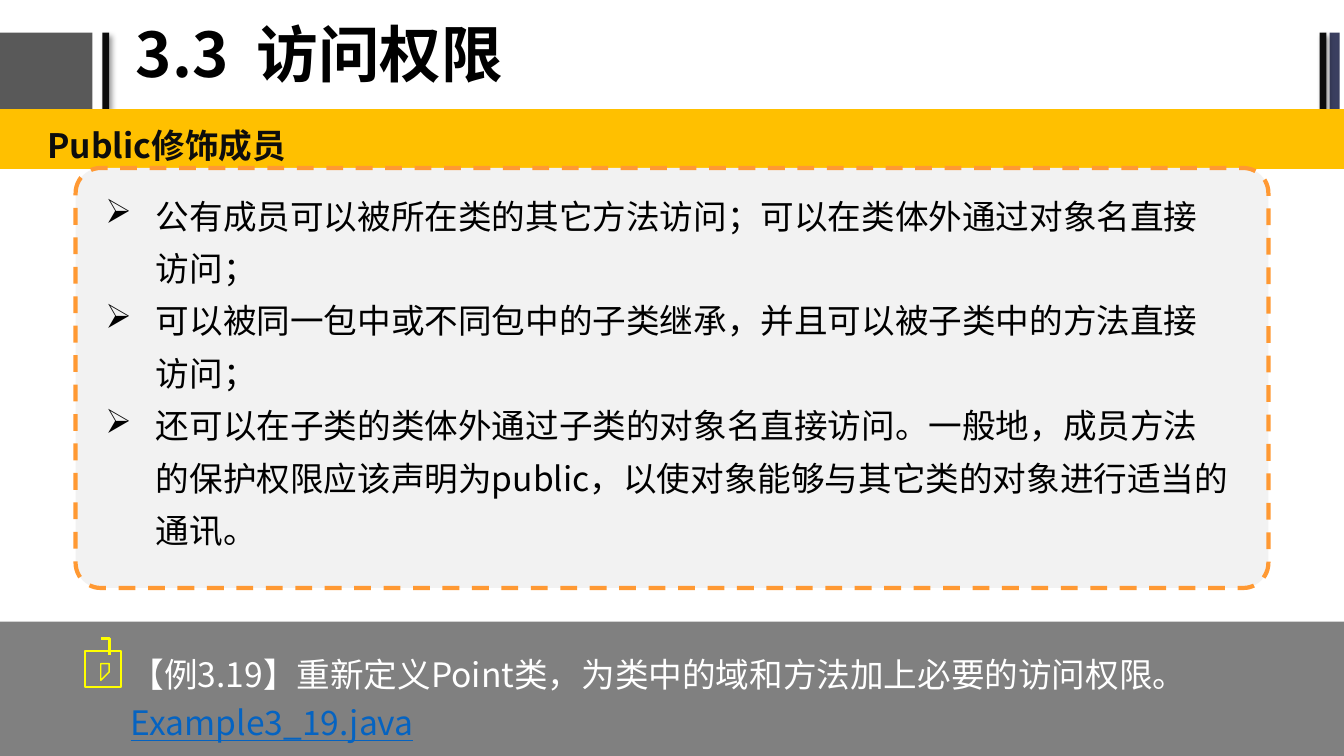
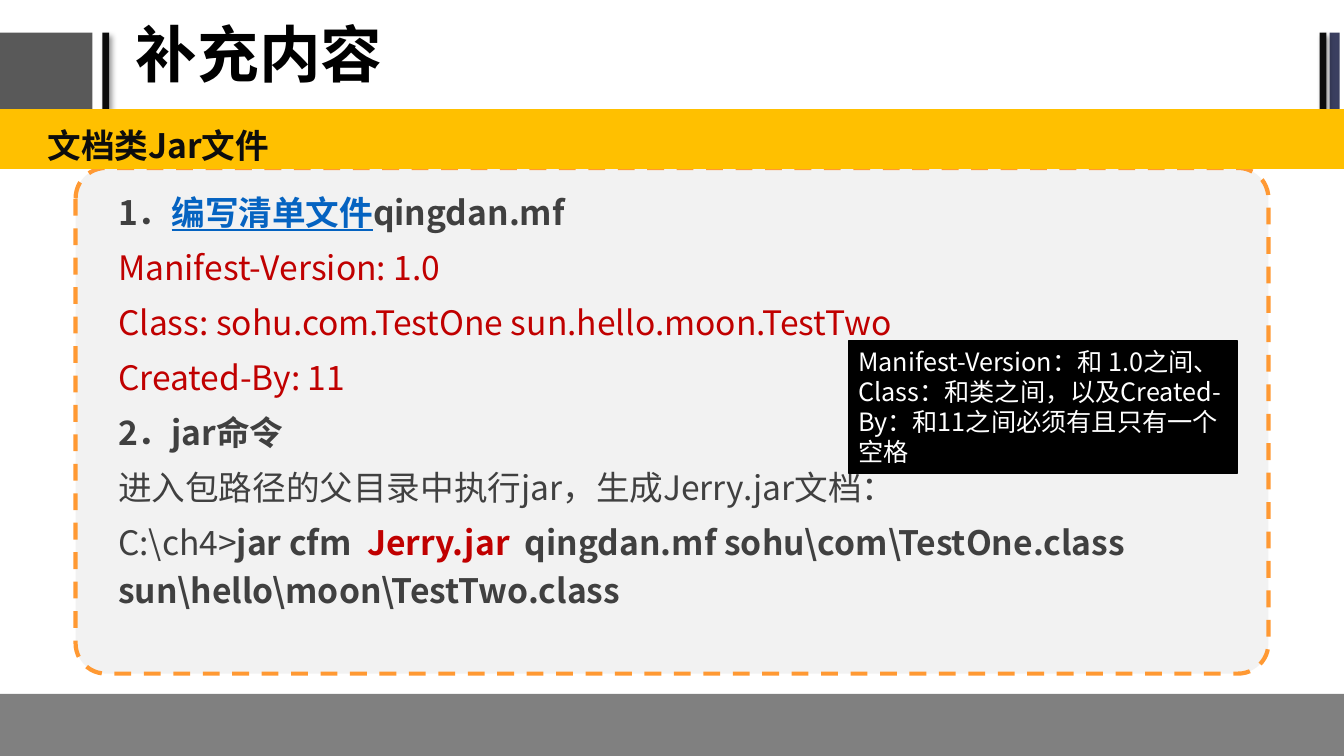
import math

from lxml import etree
from pptx import Presentation
from pptx import util as u
from pptx.dml.color import RGBColor
from pptx.enum import dml, shapes, text
from pptx.oxml import ns

COLORS = {
    "white": "FFFFFF", "black": "000000", "ink": "0D0D0D", "body": "404040",
    "slate": "595959", "navy": "3B3F60", "footer": "808080", "amber": "FFC000",
    "panel": "F2F2F2", "orange": "FF9933", "yellow": "FFFF00",
    "red": "C00000", "link": "0563C1",
}
FONT = "Noto Sans CJK SC"
COLS, ROWS = 160, 90
CELL = u.Inches(7.5) / ROWS
INSETS = {"margin_left": 0.13, "margin_right": 0.13, "margin_top": 0.07, "margin_bottom": 0.07}
RECT = shapes.MSO_SHAPE.RECTANGLE
BULLET_INDENT = u.Inches(0.5)

PLAIN = {"color": "body"}
BOLD = {"color": "body", "bold": True}
RED = {"color": "red"}
LABEL = {"color": "ink", "bold": True}
LINK = {"color": "link", "underline": True}


def block(slide, box, fill, line=None, width=1, kind=RECT):
    """Add a preset shape placed in grid columns and rows."""
    shape = slide.shapes.add_shape(kind, *(round(n * CELL) for n in box))
    shape.shadow.inherit = False
    if fill:
        shape.fill.solid()
        shape.fill.fore_color.rgb = RGBColor.from_string(COLORS[fill])
    else:
        shape.fill.background()
    if line:
        shape.line.color.rgb = RGBColor.from_string(COLORS[line])
        shape.line.width = u.Pt(width)
    else:
        shape.line.fill.background()
    return shape


def write(frame, paragraphs, size=24, spacing=1.2, before=4.8, insets=INSETS, bullet=None):
    """Fill a frame with paragraphs, each a list of (words, format) runs."""
    frame.word_wrap = True
    for side, inches in insets.items():
        setattr(frame, side, u.Inches(inches))
    for index, runs in enumerate(paragraphs):
        paragraph = frame.add_paragraph() if index else frame.paragraphs[0]
        paragraph.alignment = text.PP_ALIGN.LEFT
        if bullet:
            properties = paragraph._p.get_or_add_pPr()
            properties.set("marL", str(BULLET_INDENT))
            properties.set("indent", str(-BULLET_INDENT))
            etree.SubElement(properties, ns.qn("a:buChar"), char=bullet)
        paragraph.line_spacing = spacing
        if index:
            paragraph.space_before = u.Pt(before)
        for words, style in runs:
            run = paragraph.add_run()
            run.text = words
            values = {"name": FONT, "size": u.Pt(size), **style}
            run.font.color.rgb = RGBColor.from_string(COLORS[values.pop("color")])
            for name, value in values.items():
                setattr(run.font, name, value)
            latin = run._r.rPr.find(ns.qn("a:latin"))
            latin.addnext(latin.makeelement(ns.qn("a:ea"), {"typeface": FONT}))


# Content of the slides
pages = [
    {
        "title": "3.3  访问权限",
        "topic": "Public修饰成员",
        "order": ("band", "panel"),
        "panel_rows": 50,
        "footer_top": 74,
        "points_box": (11, 21, 137, 49),
        "points": [[(point, {"color": "black"})] for point in (
            "公有成员可以被所在类的其它方法访问；可以在类体外通过对象名直接访问；",
            "可以被同一包中或不同包中的子类继承，并且可以被子类中的方法直接访问；",
            "还可以在子类的类体外通过子类的对象名直接访问。一般地，成员方法的保护权限"
            "应该声明为public，以使对象能够与其它类的对象进行适当的通讯。",
        )],
        "layout": {"spacing": 1.3, "before": 0, "bullet": "➢"},
    },
    {
        "title": "补充内容",
        "topic": "文档类Jar文件",
        "order": ("panel", "band"),
        "panel_rows": 60.2,
        "footer_top": 82.6,
        "points_box": (12.5, 21, 132, 49),
        "points": [
            [("1．", BOLD), ("编写清单文件", {**LINK, "bold": True}), ("qingdan.mf", BOLD)],
            [("Manifest-Version: 1.0", RED)],
            [("Class: sohu.com.TestOne sun.hello.moon.TestTwo", RED)],
            [("Created-By: 11", RED)],
            [("2．jar命令", BOLD)],
            [("进入包路径的父目录中执行jar，生成Jerry.jar文档：", PLAIN)],
            [("C:\\ch4>", PLAIN), ("jar cfm  ", BOLD), ("Jerry.jar  ", {**RED, "bold": True}),
             ("qingdan.mf sohu\\com\\TestOne.class  sun\\hello\\moon\\TestTwo.class", BOLD)],
        ],
        "layout": {},
    },
]
# Header bars: left column, width, colour, shadow
header_bars = [
    (0, 11, "slate", False),
    (12.2, 0.8, "ink", True),
    (158.3, 1.2, "navy", False),
    (157.1, 0.8, "ink", True),
]

deck = Presentation()
deck.slide_width, deck.slide_height = round(COLS * CELL), round(ROWS * CELL)
slides = []

for page in pages:
    slide = deck.slides.add_slide(deck.slide_layouts[6])
    slides.append(slide)

    # Header bars and title
    for left, width, color, shaded in header_bars:
        bar = block(slide, (left, 3.9, width, 9.1), color)
        if shaded:
            effects = bar._element.spPr.find(ns.qn("a:effectLst"))
            shade = etree.SubElement(effects, ns.qn("a:outerShdw"), blurRad=str(u.Pt(4)),
                                     dist=str(u.Pt(3)), dir=str(45 * 60000), algn="tl")
            tint = etree.SubElement(shade, ns.qn("a:srgbClr"), val=COLORS["black"])
            etree.SubElement(tint, ns.qn("a:alpha"), val="40000")
    title = slide.shapes.add_textbox(*(round(n * CELL) for n in (15, 0.2, 101.6, 13.2)))
    title.text_frame.vertical_anchor = text.MSO_ANCHOR.MIDDLE
    write(title.text_frame, [[(page["title"], {"color": "black", "bold": True})]],
          size=44, spacing=0.9, insets={})

    # Footer, then topic band and dashed panel in stacking order
    block(slide, (0, page["footer_top"], COLS, ROWS - page["footer_top"]), "footer")
    for part in page["order"]:
        if part == "band":
            block(slide, (0, 13, COLS, 7.1), "amber")
            topic = slide.shapes.add_textbox(*(round(n * CELL) for n in (4.1, 13.1, 155.9, 7)))
            write(topic.text_frame, [[(page["topic"], LABEL)]])
        else:
            panel = block(slide, (9, 20, 142, page["panel_rows"]), "panel", "orange", 3,
                          shapes.MSO_SHAPE.ROUNDED_RECTANGLE)
            panel.adjustments[0] = 0.06
            panel.line.dash_style = dml.MSO_LINE.DASH

    # Points on the panel
    points = slide.shapes.add_textbox(*(round(n * CELL) for n in page["points_box"]))
    write(points.text_frame, page["points"], **page["layout"])

access, archive = slides

# Padlock with a bulb in the footer of the access slide
block(access, (10.1, 77.5, 4.3, 4.3), None, "yellow", 1.75)
quarter = [math.radians(a) for a in range(-90, 1, 15)]
outer = [(11.75, 76.1)] + [(12.7 + 0.7 * math.cos(a), 76.8 + 0.7 * math.sin(a)) for a in quarter]
inner = [(12, 76.5)] + [(12.6 + 0.4 * math.cos(a), 76.9 + 0.4 * math.sin(a)) for a in quarter]
bulb = [(12.5 + 0.8 * math.cos(a), 79.4 + 0.8 * math.sin(a))
        for a in (math.radians(d) for d in range(120, 421, 15))]
bulb += [(12.9, 80.4), (12.5, 80.7), (12.1, 80.4)]
strokes = [
    (outer + [(13.4, 77.5)], False, 2),
    (inner + [(13, 77.5)], False, 1),
    (bulb, True, 1),
]
for outline, closed, width in strokes:
    builder = access.shapes.build_freeform(*outline[0], scale=CELL)
    builder.add_line_segments(outline[1:], close=closed)
    stroke = builder.convert_to_shape()
    stroke.shadow.inherit = False
    stroke.fill.background()
    stroke.line.color.rgb = RGBColor.from_string(COLORS["yellow"])
    stroke.line.width = u.Pt(width)

# Example in the footer
example = access.shapes.add_textbox(*(round(n * CELL) for n in (14, 76, 128, 12.2)))
write(example.text_frame, [[
    ("【例3.19】重新定义Point类，为类中的域和方法加上必要的访问权限。", {"color": "white"}),
    ("Example3_19.java", LINK),
]])

# Note on the manifest format
note = block(archive, (101, 40.6, 46.3, 15.7), "black", "black")
note.text_frame.vertical_anchor = text.MSO_ANCHOR.TOP
write(note.text_frame, [[(
    "Manifest-Version：和 1.0之间、Class：和类之间，以及Created-By：和11之间必须有且只有一个空格",
    {"color": "white"},
)]], size=18, spacing=1.0, insets={})

deck.save("out.pptx")
